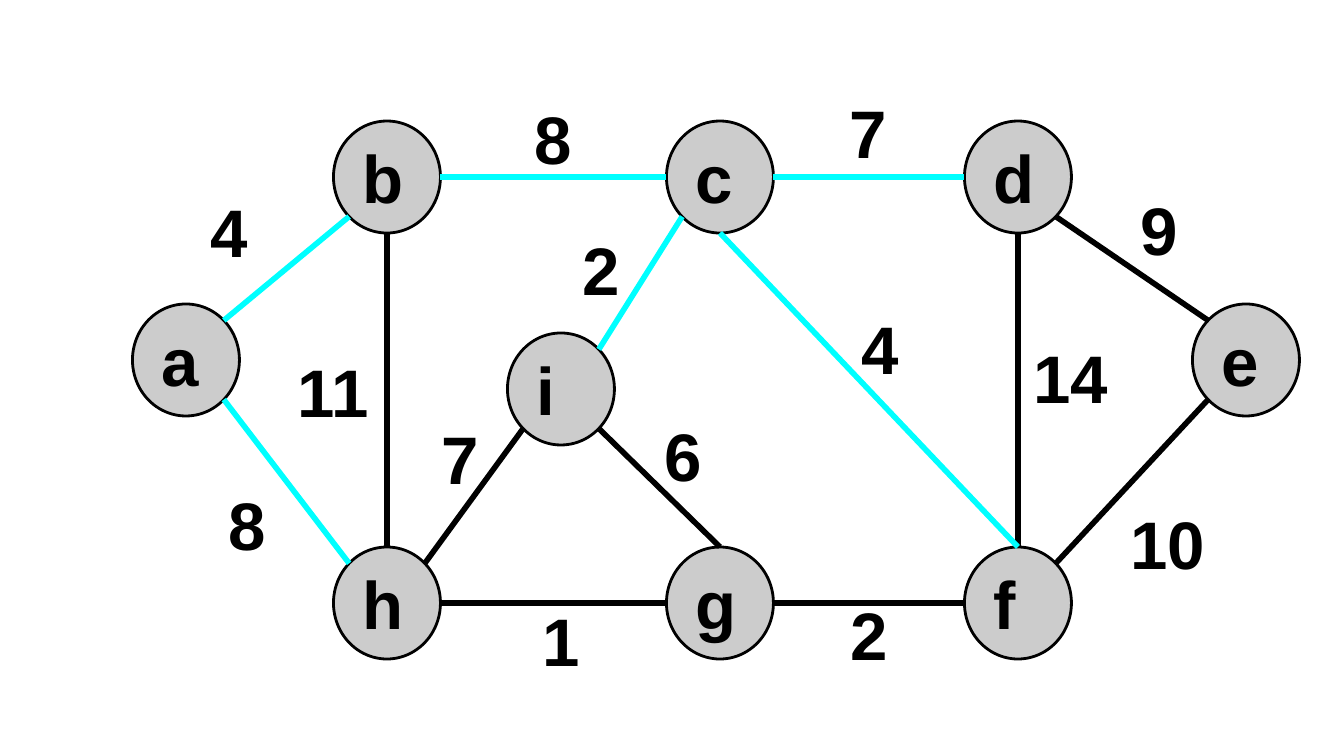
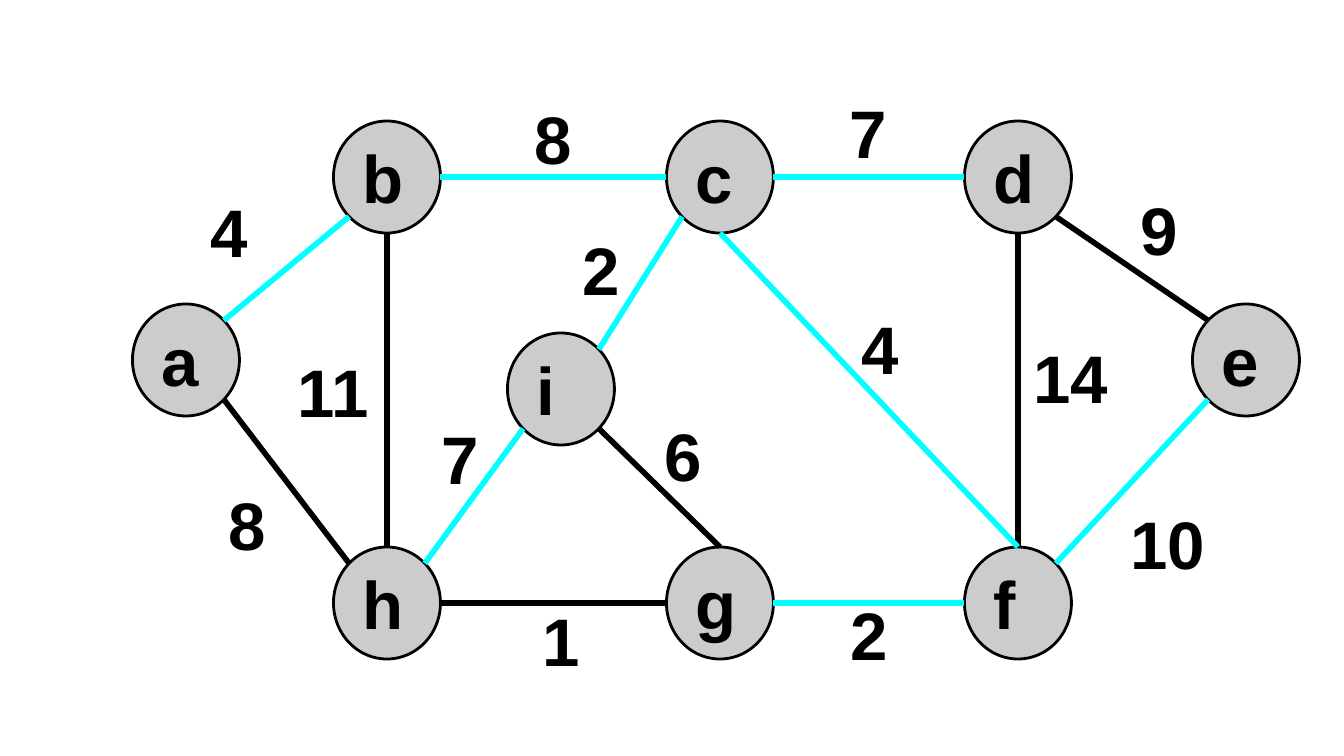
from lxml.etree import SubElement
from math import sqrt
from pptx import Presentation
from pptx.dml.color import RGBColor
from pptx.enum.shapes import MSO_CONNECTOR, MSO_SHAPE
from pptx.enum.text import MSO_ANCHOR, PP_ALIGN
from pptx.oxml.ns import qn
from pptx.util import Inches, Pt

# Content: vertex centres in px
VERTICES = {
    "b": (387, 177), "a": (186, 360), "h": (387, 603),
    "g": (720, 603), "c": (720, 177), "i": (561, 389),
    "d": (1018, 177), "f": (1018, 603), "e": (1246, 360),
}

# Edges: start, side, end, side, weight, label box in px
EDGES = [
    ("a", "NE", "b", "SW", 4, (176, 177, 107, 93)),
    ("b", "E", "c", "W", 8, (504, 79, 98, 118)),
    ("c", "E", "d", "W", 7, (806, 85, 125, 93)),
    ("d", "SE", "e", "NW", 9, (1099, 177, 121, 103)),
    ("e", "SW", "f", "NE", 10, (1114, 496, 107, 93)),
    ("g", "E", "f", "W", 2, (828, 587, 83, 93)),
    ("h", "E", "g", "W", 1, (499, 581, 125, 118)),
    ("a", "SE", "h", "NW", 8, (214, 468, 67, 112)),
    ("h", "NE", "i", "SW", 7, (398, 399, 125, 118)),
    ("i", "NE", "c", "SW", 2, (552, 210, 98, 118)),
    ("b", "S", "h", "N", 11, (284, 339, 98, 103)),
    ("d", "S", "f", "N", 14, (1008, 310, 125, 134)),
    ("c", "S", "f", "N", 4, (818, 281, 125, 133)),
    ("i", "SE", "g", "N", 6, (634, 388, 98, 133)),
]
TOP_LABELS = {"ab"}

# Highlighted edges, one set per slide
TREES = [
    {"ab", "bc", "cd", "ah", "ic", "cf"},
    {"ab", "bc", "cd", "ef", "gf", "hi", "ic", "cf"},
]

# Shared style
PX = Inches(1) / 134.4
NODE_W, NODE_H = 107, 112
BLACK, GREY, CYAN = "000000", "CCCCCC", "00FFFF"
FONT = {"name": "Arial", "size": Pt(36), "bold": True}
MARGINS = ("margin_left", "margin_top", "margin_right", "margin_bottom")


def px(*values):
    return [round(v * PX) for v in values]


def color(value):
    return RGBColor.from_string(value)


def set_line(line, value, width):
    line.color.rgb = color(value)
    line.width = Pt(width)


def write(s, text, align, anchor=MSO_ANCHOR.MIDDLE):
    tf = s.text_frame
    frame = {"word_wrap": True, "vertical_anchor": anchor}
    frame.update(dict.fromkeys(MARGINS, Inches(0.1)))
    for key, value in frame.items():
        setattr(tf, key, value)
    p = tf.paragraphs[0]
    p.alignment = align
    r = p.add_run()
    r.text = text
    for key, value in FONT.items():
        setattr(r.font, key, value)
    r.font.color.rgb = color(BLACK)


def side_point(name, side):
    """Point on the rim of a vertex in a compass direction."""
    x, y = VERTICES[name]
    dx = ("E" in side) - ("W" in side)
    dy = ("S" in side) - ("N" in side)
    reach = 2 * sqrt(dx * dx + dy * dy)
    return x + dx * NODE_W / reach, y + dy * NODE_H / reach


def add_vertex(slide, name):
    x, y = VERTICES[name]
    box = px(x - NODE_W / 2, y - NODE_H / 2, NODE_W, NODE_H)
    s = slide.shapes.add_shape(MSO_SHAPE.OVAL, *box)
    s.shadow.inherit = False
    s.fill.solid()
    s.fill.fore_color.rgb = color(GREY)
    set_line(s.line, BLACK, 1.5)
    write(s, name, PP_ALIGN.LEFT)


def add_edge(slide, start, end, value):
    s = slide.shapes.add_connector(MSO_CONNECTOR.STRAIGHT, *px(*start, *end))
    set_line(s.line, value, 3)
    SubElement(s._element.spPr, qn("a:effectLst"))


def add_graph(slide, tree):
    for name in VERTICES:
        add_vertex(slide, name)
    for u, u_side, v, v_side, _, _ in EDGES:
        add_edge(slide, side_point(u, u_side), side_point(v, v_side),
                 CYAN if u + v in tree else BLACK)
    for u, _, v, _, weight, box in EDGES:
        anchor = MSO_ANCHOR.TOP if u + v in TOP_LABELS else MSO_ANCHOR.MIDDLE
        write(slide.shapes.add_textbox(*px(*box)), str(weight),
              PP_ALIGN.CENTER, anchor)


def main():
    prs = Presentation()
    prs.slide_width, prs.slide_height = px(1344, 756)
    for tree in TREES:
        add_graph(prs.slides.add_slide(prs.slide_layouts[6]), tree)
    prs.save("out.pptx")


if __name__ == "__main__":
    main()
